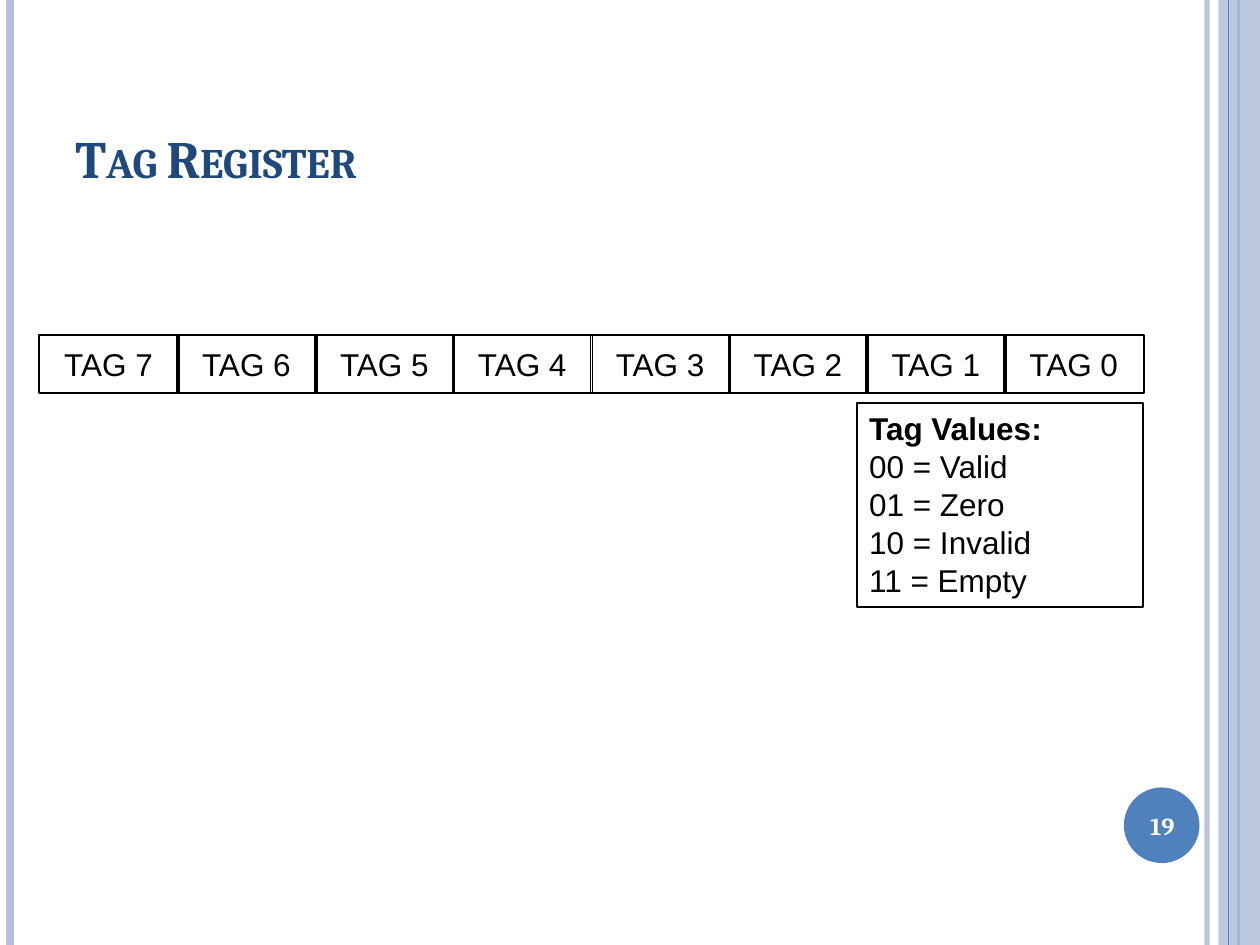
from lxml.etree import SubElement
from pptx import Presentation
from pptx.dml.color import RGBColor
from pptx.enum.shapes import MSO_CONNECTOR, MSO_SHAPE
from pptx.enum.text import MSO_ANCHOR, MSO_AUTO_SIZE, PP_ALIGN
from pptx.oxml.ns import qn
from pptx.util import Inches, Pt

COLORS = {"navy": "1F497D", "blue": "4F81BD", "pale": "B3C1DB",
          "black": "000000", "white": "FFFFFF"}
TAG_COUNT = 8
TAG_VALUES = ["00 = Valid", "01 = Zero", "10 = Invalid", "11 = Empty"]


def color(name):
    return RGBColor.from_string(COLORS[name])


def set_alpha(fill_owner, percent):
    """Make the solid colour below an XML element partly transparent."""
    srgb = next(fill_owner.iter(qn("a:srgbClr")))
    SubElement(srgb, qn("a:alpha"), val=str(percent * 1000))


def add_run(paragraph, text, size, font, color_name, bold=False):
    run = paragraph.add_run()
    run.text = text
    run.font.size = Pt(size)
    run.font.name = font
    run.font.bold = bold
    run.font.color.rgb = color(color_name)
    return run


def add_shape(slide, kind, left, top, width, height, fill=None, outline=None):
    shape = slide.shapes.add_shape(
        kind, Inches(left), Inches(top), Inches(width), Inches(height))
    shape.shadow.inherit = False
    if fill:
        shape.fill.solid()
        shape.fill.fore_color.rgb = color(fill)
    else:
        shape.fill.background()
    if outline:
        shape.line.color.rgb = color(outline)
        shape.line.width = Pt(1)
    else:
        shape.line.fill.background()
    return shape


def add_stripe(slide, x, height, color_name, width, alpha=None):
    """Draw a vertical line from the top of the slide."""
    stripe = slide.shapes.add_connector(
        MSO_CONNECTOR.STRAIGHT, Inches(x), 0, Inches(x), Inches(height))
    stripe.line.color.rgb = color(color_name)
    stripe.line.width = Pt(width)
    properties = stripe._element.spPr
    if alpha:
        set_alpha(properties, alpha)
    SubElement(properties, qn("a:effectLst"))


def add_side_bands(slide, width, height):
    add_stripe(slide, width - 0.42, height, "pale", 3, alpha=93)
    add_stripe(slide, 0.08, height, "pale", 4.5)
    add_stripe(slide, width - 0.17, height, "blue", 1.5)
    band = add_shape(slide, MSO_SHAPE.RECTANGLE, width - 0.33, 0, 0.33, height,
                     fill="pale")
    set_alpha(band._element.spPr, 87)
    add_stripe(slide, width - 0.25, height, "blue", 0.75)


def add_title(slide, left, top, width, height):
    frame = slide.shapes.add_textbox(
        Inches(left), Inches(top), Inches(width), Inches(height)).text_frame
    frame.word_wrap = True
    frame.vertical_anchor = MSO_ANCHOR.BOTTOM
    run = add_run(frame.paragraphs[0], "Tag Register", 30, "Cambria", "navy", True)
    run.font._element.set("cap", "small")


def add_tag_register(slide, left, top, width, height):
    """Draw the row of tag cells, highest tag first, with edges overlapping."""
    cell_width = 1.11
    pitch = (width - cell_width) / (TAG_COUNT - 1)
    for column in range(TAG_COUNT):
        cell = add_shape(slide, MSO_SHAPE.RECTANGLE, left + column * pitch, top,
                         cell_width, height, outline="black")
        frame = cell.text_frame
        frame.word_wrap = False
        frame.margin_left = frame.margin_right = Inches(0.2)
        frame.margin_top = frame.margin_bottom = Inches(0.08)
        frame.vertical_anchor = MSO_ANCHOR.TOP
        label = frame.paragraphs[0]
        label.alignment = PP_ALIGN.LEFT
        add_run(label, f"TAG {TAG_COUNT - 1 - column}", 18, "Arial", "black")


def add_tag_values(slide, left, top, width, height):
    legend = add_shape(slide, MSO_SHAPE.RECTANGLE, left, top, width, height,
                       outline="black")
    frame = legend.text_frame
    frame.word_wrap = True
    frame.auto_size = MSO_AUTO_SIZE.SHAPE_TO_FIT_TEXT
    frame.vertical_anchor = MSO_ANCHOR.TOP
    heading = frame.paragraphs[0]
    heading.alignment = PP_ALIGN.LEFT
    add_run(heading, "Tag Values:", 18, "Arial", "black", True)
    for value in TAG_VALUES:
        entry = frame.add_paragraph()
        entry.alignment = PP_ALIGN.LEFT
        add_run(entry, value, 18, "Arial", "black")


def add_page_number(slide, left, top, size, number):
    add_shape(slide, MSO_SHAPE.OVAL, left, top, size, size, fill="blue")
    frame = slide.shapes.add_textbox(
        Inches(left - 0.03), Inches(top + 0.02),
        Inches(size + 0.07), Inches(size - 0.03)).text_frame
    frame.word_wrap = True
    frame.vertical_anchor = MSO_ANCHOR.MIDDLE
    paragraph = frame.paragraphs[0]
    paragraph.alignment = PP_ALIGN.CENTER
    add_run(paragraph, str(number), 14, "Cambria", "white", True)


def main():
    width, height = 10, 7.5
    deck = Presentation()
    deck.slide_width, deck.slide_height = Inches(width), Inches(height)
    slide = deck.slides.add_slide(deck.slide_layouts[6])
    add_side_bands(slide, width, height)
    add_title(slide, 0.5, 0.3, 8.17, 1.25)
    add_tag_values(slide, 6.8, 3.2, 2.27, 1.62)
    add_tag_register(slide, 0.31, 2.66, 8.77, 0.46)
    add_page_number(slide, 8.92, 6.25, 0.6, 19)
    deck.save("out.pptx")


if __name__ == "__main__":
    main()
